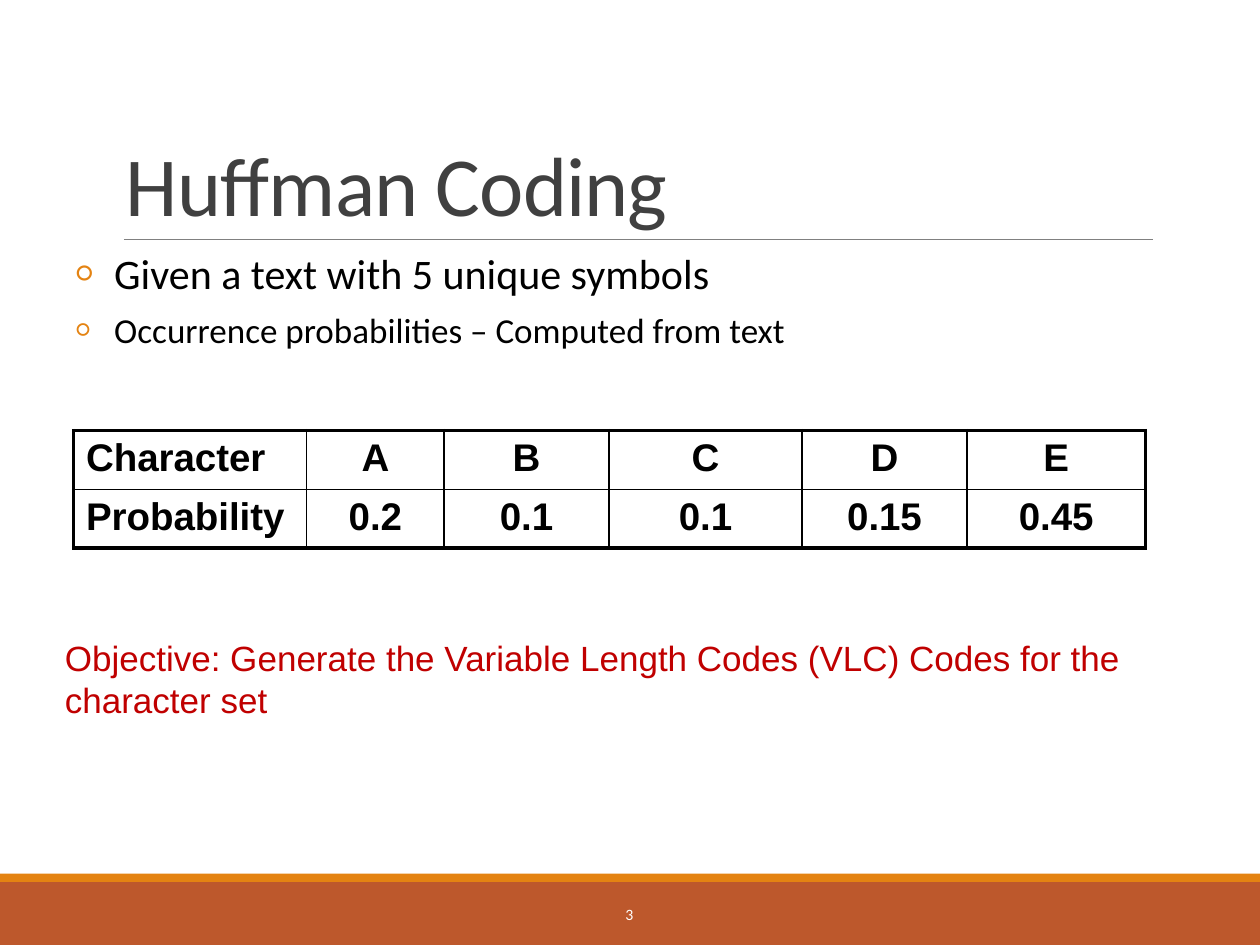
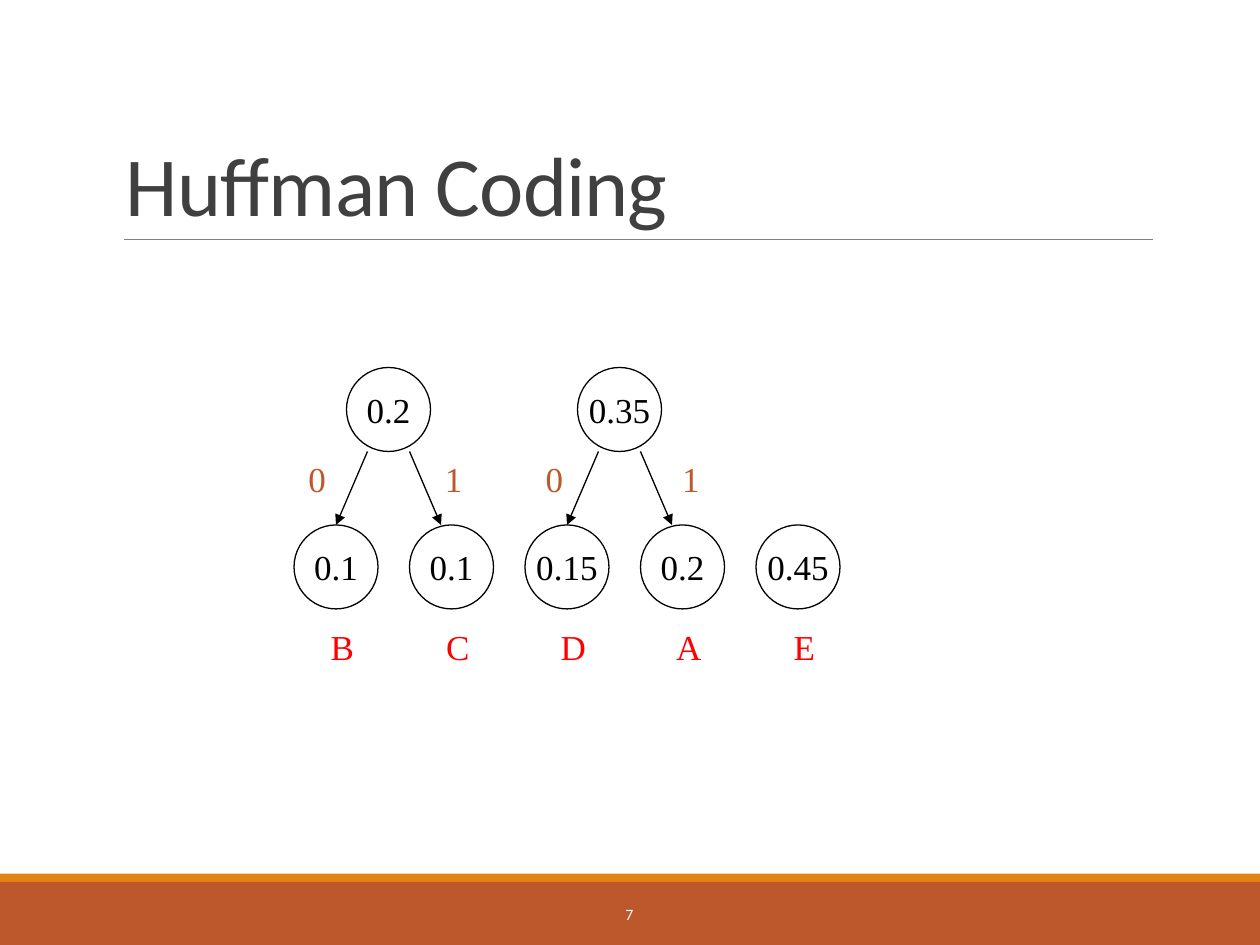
from dataclasses import dataclass

from lxml.etree import SubElement as Sub
from pptx import Presentation
from pptx.dml.color import RGBColor as Rgb
from pptx.enum.shapes import MSO_CONNECTOR as Link, MSO_SHAPE as Kind
from pptx.enum.text import MSO_ANCHOR as Anchor, PP_ALIGN as Align
from pptx.oxml.ns import qn
from pptx.util import Emu, Pt

SCALE = 7620
WIDE, HIGH = 1200, 900

BLACK, WHITE, RED = "000000", "FFFFFF", "FF0000"
RUST, AMBER, GRAY = "BD582C", "E48312", "808080"
DARK, CRIMSON = "404040", "C00000"


@dataclass(frozen=True)
class Style:
    font: str
    size: int
    color: str = BLACK
    bold: bool = False
    align: Align = Align.LEFT


@dataclass(frozen=True)
class Box:
    left: int
    top: int
    width: int
    height: int

    def emu(self) -> list[Emu]:
        return [px(n) for n in (self.left, self.top, self.width, self.height)]


@dataclass(frozen=True)
class Leaf:
    name: str
    odds: str


@dataclass(frozen=True)
class Tree:
    left: int
    odds: str
    shift: int


TITLE = Style("Calibri", 48, DARK)
FOOT = Style("Calibri", 9, WHITE, align=Align.CENTER)
HEAD = Style("Arial", 22, bold=True)
CELL = Style("Arial", 22, bold=True, align=Align.CENTER)
GOAL = Style("Arial", 20, CRIMSON)
NODE = Style("Times New Roman", 20, align=Align.CENTER)
NAME = Style("Times New Roman", 20, RED, align=Align.CENTER)
BIT = Style("Times New Roman", 20, RUST, align=Align.CENTER)

POINTS = [
    ("Given a text with 5 unique symbols", Style("Calibri", 24)),
    ("Occurrence probabilities – Computed from text", Style("Calibri", 20)),
]
ROWS = [
    ["Character", "A", "B", "C", "D", "E"],
    ["Probability", "0.2", "0.1", "0.1", "0.15", "0.45"],
]
COLS = [222, 131, 157, 184, 157, 170]
ROW = 53

LEAVES = [Leaf("B", "0.1"), Leaf("C", "0.1"), Leaf("D", "0.15"),
          Leaf("A", "0.2"), Leaf("E", "0.45")]
TREES = [Tree(330, "0.2", 0), Tree(550, "0.35", 6)]
SIZE, START, PITCH = 80, 280, 110
ROOT, BASE = 350, 500


def px(count: int) -> Emu:
    return Emu(count * SCALE)


def tint(code: str) -> Rgb:
    return Rgb.from_string(code)


def dress(para, style: Style) -> None:
    para.alignment = style.align
    for run in para.runs:
        run.font.name = style.font
        run.font.size = Pt(style.size)
        run.font.bold = style.bold
        run.font.color.rgb = tint(style.color)


def write(slide, box: Box, text: str, style: Style,
          anchor: Anchor = Anchor.TOP, wrap: bool = True):
    frame = slide.shapes.add_textbox(*box.emu()).text_frame
    frame.word_wrap = wrap
    frame.vertical_anchor = anchor
    frame.text = text
    dress(frame.paragraphs[0], style)
    return frame.paragraphs[0]


def band(slide, box: Box, color: str) -> None:
    shape = slide.shapes.add_shape(Kind.RECTANGLE, *box.emu())
    shape.shadow.inherit = False
    shape.fill.solid()
    shape.fill.fore_color.rgb = tint(color)
    shape.line.fill.background()


def line(slide, start: tuple[int, int], end: tuple[int, int],
         color: str, weight: float, arrow: bool = False) -> None:
    ends = [px(n) for n in (*start, *end)]
    link = slide.shapes.add_connector(Link.STRAIGHT, *ends)
    link.line.color.rgb = tint(color)
    link.line.width = Pt(weight)
    if arrow:
        Sub(link.line._get_or_add_ln(), qn("a:tailEnd"), type="triangle")
    Sub(link._element.spPr, qn("a:effectLst"))


def node(slide, left: int, top: int, text: str) -> None:
    box = Box(left, top, SIZE, SIZE)
    shape = slide.shapes.add_shape(Kind.OVAL, *box.emu())
    shape.shadow.inherit = False
    shape.fill.background()
    shape.line.color.rgb = tint(BLACK)
    shape.line.width = Pt(0.75)
    frame = shape.text_frame
    frame.word_wrap = False
    frame.vertical_anchor = Anchor.MIDDLE
    frame.text = text
    dress(frame.paragraphs[0], NODE)


def edge(cell, side: str, weight: float) -> None:
    rim = Sub(cell._tc.get_or_add_tcPr(), qn(f"a:ln{side}"), w=str(Pt(weight)))
    Sub(Sub(rim, qn("a:solidFill")), qn("a:srgbClr"), val=BLACK)


def bullet(para) -> None:
    props = para._p.get_or_add_pPr()
    props.set("marL", str(px(36)))
    props.set("indent", str(px(-36)))
    Sub(Sub(props, qn("a:buClr")), qn("a:srgbClr"), val=AMBER)
    Sub(props, qn("a:buSzPct"), val="70000")
    Sub(props, qn("a:buFont"), typeface="Calibri")
    Sub(props, qn("a:buChar"), char="○")


def begin(deck, number: int):
    slide = deck.slides.add_slide(deck.slide_layouts[6])
    band(slide, Box(0, 840, WIDE, 60), RUST)
    band(slide, Box(0, 832, WIDE, 8), AMBER)
    line(slide, (118, 228), (1098, 228), GRAY, 0.5)
    title = write(slide, Box(108, 37, 990, 191), "Huffman Coding", TITLE,
                  Anchor.BOTTOM)
    title.line_spacing = 0.85
    title.runs[0].font._element.set("spc", "-50")
    write(slide, Box(362, 847, 475, 48), str(number), FOOT, Anchor.MIDDLE)
    return slide


def chances(slide) -> None:
    box = Box(70, 410, sum(COLS), ROW * len(ROWS))
    table = slide.shapes.add_table(len(ROWS), len(COLS), *box.emu()).table
    table.first_row = table.horz_banding = False
    for col, width in zip(table.columns, COLS):
        col.width = px(width)
    for r, words in enumerate(ROWS):
        table.rows[r].height = px(ROW)
        for c, word in enumerate(words):
            cell = table.cell(r, c)
            rims = {"L": c == 0, "R": c == len(COLS) - 1,
                    "T": r == 0, "B": r == len(ROWS) - 1}
            for side, outer in rims.items():
                edge(cell, side, 2.25 if outer else 1)
            cell.fill.background()
            cell.text = word
            dress(cell.text_frame.paragraphs[0], CELL if c else HEAD)


def intro(deck) -> None:
    slide = begin(deck, 3)
    chances(slide)
    write(slide, Box(50, 600, 1087, 92),
          "Objective: Generate the Variable Length Codes (VLC) Codes "
          "for the character set", GOAL)
    frame = slide.shapes.add_textbox(*Box(61, 230, 980, 150).emu()).text_frame
    frame.word_wrap = True
    for i, (text, style) in enumerate(POINTS):
        para = frame.add_paragraph() if i else frame.paragraphs[0]
        para.text = text
        bullet(para)
        para.space_before = Pt(6 if i else 0)
        dress(para, style)


def forest(deck) -> None:
    slide = begin(deck, 7)
    for i, leaf in enumerate(LEAVES):
        left = START + i * PITCH
        node(slide, left, BASE, leaf.odds)
        write(slide, Box(left + 21, 590, 50, 60), leaf.name, NAME, wrap=False)
    foot = ROOT + SIZE
    for tree in TREES:
        node(slide, tree.left, ROOT, tree.odds)
        for bit, near, far, gap in (("0", 20, -10, -50), ("1", 60, 90, 80)):
            line(slide, (tree.left + near, foot), (tree.left + far, BASE),
                 BLACK, 0.75, True)
            write(slide, Box(tree.left + gap + tree.shift, foot, 44, 60),
                  bit, BIT, wrap=False)


def main() -> None:
    deck = Presentation()
    deck.slide_width, deck.slide_height = px(WIDE), px(HIGH)
    intro(deck)
    forest(deck)
    deck.save("out.pptx")


if __name__ == "__main__":
    main()
